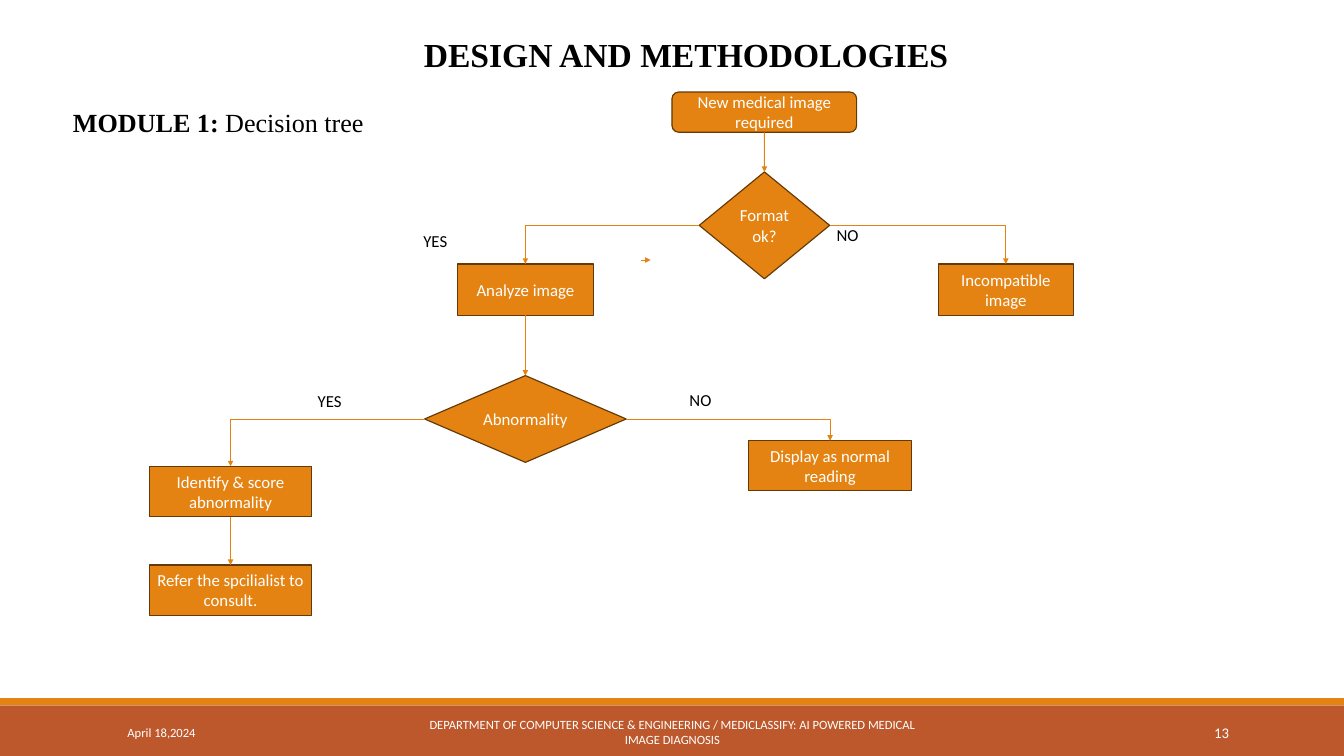
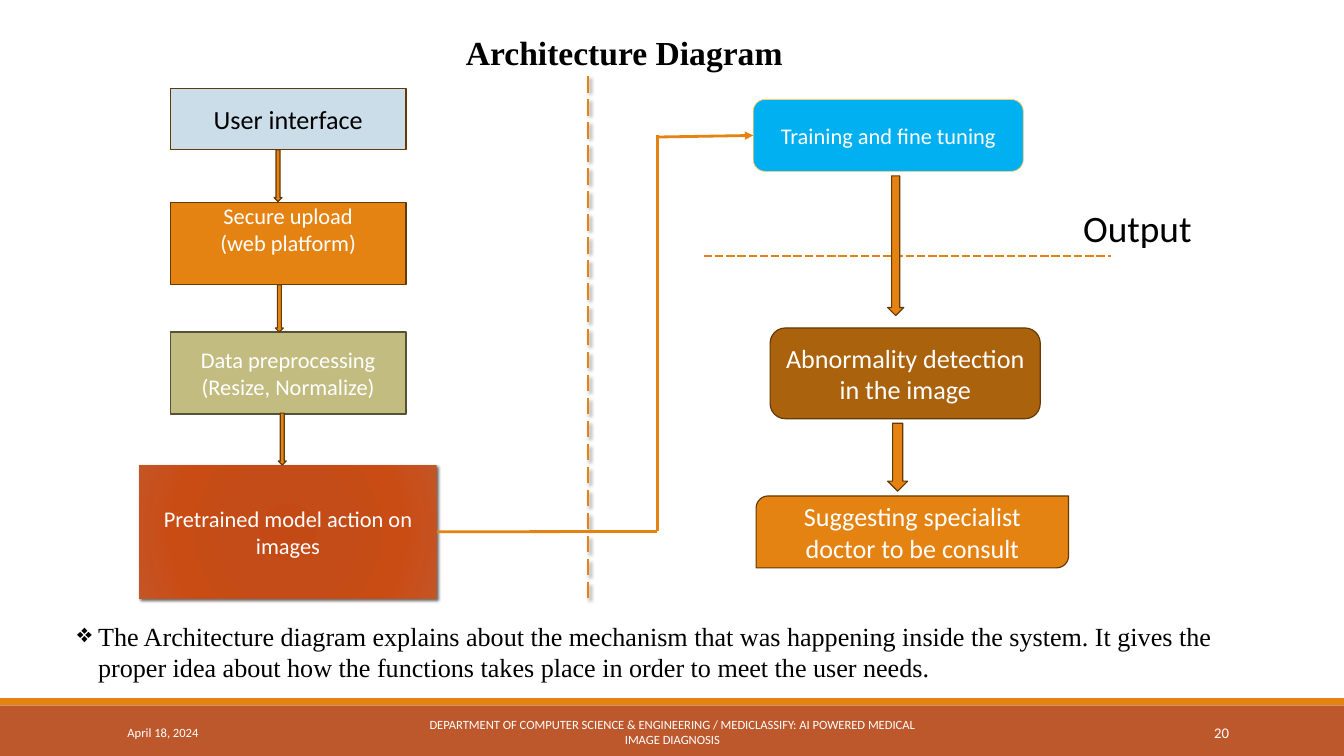
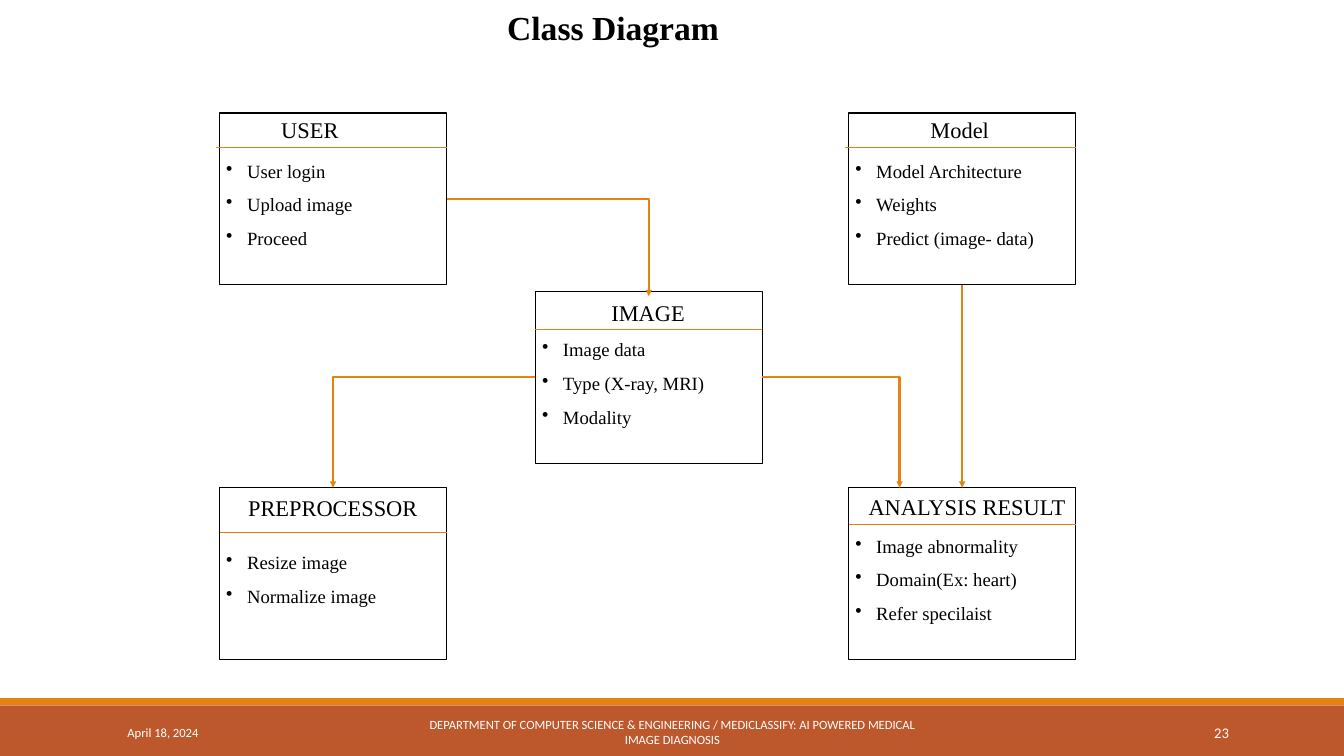
from collections import namedtuple

from lxml.etree import SubElement
from pptx import Presentation
from pptx.dml.color import RGBColor
from pptx.enum.dml import MSO_LINE
from pptx.enum.shapes import MSO_CONNECTOR, MSO_SHAPE
from pptx.enum.text import MSO_ANCHOR, MSO_AUTO_SIZE, PP_ALIGN
from pptx.oxml import parse_xml
from pptx.oxml.ns import nsdecls, qn
from pptx.util import Cm, Pt

RECTANGLE = MSO_SHAPE.RECTANGLE
ROUNDED = MSO_SHAPE.ROUNDED_RECTANGLE
TWO_ROUNDED = MSO_SHAPE.ROUND_2_DIAG_RECTANGLE
DIAMOND = MSO_SHAPE.DIAMOND
DOWN_ARROW = MSO_SHAPE.DOWN_ARROW
STRAIGHT, ELBOW = MSO_CONNECTOR.STRAIGHT, MSO_CONNECTOR.ELBOW
LONG_DASH, SQUARE_DASH = MSO_LINE.LONG_DASH, MSO_LINE.SQUARE_DOT
LEFT, CENTER, RIGHT = PP_ALIGN.LEFT, PP_ALIGN.CENTER, PP_ALIGN.RIGHT
JUSTIFY = PP_ALIGN.JUSTIFY
ANCHOR_TOP, ANCHOR_MIDDLE = MSO_ANCHOR.TOP, MSO_ANCHOR.MIDDLE
GROW = MSO_AUTO_SIZE.SHAPE_TO_FIT_TEXT
SITE_TOP, SITE_LEFT, SITE_BOTTOM, SITE_RIGHT = range(4)

SANS, SERIF = "Calibri", "Times New Roman"
ORANGE, RUST, BROWN = "E48312", "BD582C", "643908"
BLACK, WHITE = "000000", "FFFFFF"
BULLET_INDENT = Cm(0.79)
FOOTER_TEXT = ("DEPARTMENT OF COMPUTER SCIENCE & ENGINEERING / "
               "MEDICLASSIFY: AI POWERED MEDICAL IMAGE DIAGNOSIS")

Box = namedtuple("Box", "left top width height")
FOOTER_BOX = Box(0, 26.39, 50.8, 2.19)


def inside(box, left, top, width, height):
    """Return a box given relative to the corner of another one."""
    return Box(box.left + left, box.top + top, width, height)


def rgb(value):
    """Turn a hex string into a colour."""
    return RGBColor.from_string(value)


def write(shape, text, size, color=WHITE, font=SANS, bold=False, align=CENTER):
    """Set the text of a shape and format every run alike."""
    shape.text_frame.text = text
    for paragraph in shape.text_frame.paragraphs:
        paragraph.alignment = align
        for run in paragraph.runs:
            style_run(run, size, color, font, bold)


def style_run(run, size, color, font, bold):
    """Format one run."""
    run.font.size = Pt(size)
    run.font.name = font
    run.font.bold = bold
    run.font.color.rgb = rgb(color)


def add_bullet(paragraph, symbol):
    """Give a paragraph a hanging bullet."""
    properties = paragraph._p.get_or_add_pPr()
    properties.set("marL", str(BULLET_INDENT))
    properties.set("indent", str(-BULLET_INDENT))
    SubElement(properties, qn("a:buChar")).set("char", symbol)


def draw_shape(slide, kind, box, fill=ORANGE, line=BROWN, line_width=1.25):
    """Add a filled preset shape with centred text."""
    shape = slide.shapes.add_shape(kind, *map(Cm, box))
    shape.shadow.inherit = False
    shape.fill.solid()
    shape.fill.fore_color.rgb = rgb(fill)
    if line:
        shape.line.color.rgb = rgb(line)
        shape.line.width = Pt(line_width)
    else:
        shape.line.fill.background()
    shape.text_frame.word_wrap = True
    shape.text_frame.vertical_anchor = ANCHOR_MIDDLE
    return shape


def draw_text(slide, box, text, size, color=BLACK, font=SANS, bold=False,
              align=LEFT, wrap=True, grow=True):
    """Add a text box that grows, or one centred in a fixed height."""
    shape = slide.shapes.add_textbox(*map(Cm, box))
    shape.text_frame.word_wrap = wrap
    if grow:
        shape.text_frame.auto_size = GROW
    else:
        shape.text_frame.vertical_anchor = ANCHOR_MIDDLE
    write(shape, text, size, color, font, bold, align)
    return shape


def draw_line(slide, start, end, width=1, arrow=False, dash=None, kind=STRAIGHT):
    """Add a line or a one-bend connector between two points."""
    connector = slide.shapes.add_connector(kind, *map(Cm, (*start, *end)))
    connector.line.color.rgb = rgb(ORANGE)
    connector.line.width = Pt(width)
    if dash:
        connector.line.dash_style = dash
    properties = connector._element.spPr
    if kind == ELBOW:
        properties.find(qn("a:prstGeom")).set("prst", "bentConnector2")
    if arrow:
        outline = properties.find(qn("a:ln"))
        SubElement(outline, qn("a:tailEnd")).set("type", "triangle")
    SubElement(properties, qn("a:effectLst"))
    return connector


def join(slide, first, first_site, second, second_site, width=1, kind=STRAIGHT):
    """Draw an arrow from a side of one shape to a side of another."""
    connector = draw_line(slide, (0, 0), (0, 0), width, True, kind=kind)
    connector.begin_connect(first, first_site)
    connector.end_connect(second, second_site)


def add_shadow(shape, opacity, blur, distance):
    """Put a soft black shadow at the lower right of a shape."""
    effects = shape._element.spPr.find(qn("a:effectLst"))
    effects.append(parse_xml(
        f'<a:outerShdw {nsdecls("a")} blurRad="{Pt(blur)}" dist="{Pt(distance)}" '
        f'dir="2700000" algn="tl" rotWithShape="0"><a:srgbClr val="{BLACK}">'
        f'<a:alpha val="{opacity * 1000}"/></a:srgbClr></a:outerShdw>'))


def add_radial_fill(shape, stops):
    """Replace the solid fill of a shape by a radial gradient."""
    marks = "".join(f'<a:gs pos="{position * 1000}"><a:srgbClr val="{color}"/></a:gs>'
                    for position, color in stops)
    properties = shape._element.spPr
    properties.replace(properties.find(qn("a:solidFill")), parse_xml(
        f'<a:gradFill {nsdecls("a")} rotWithShape="1"><a:gsLst>{marks}</a:gsLst>'
        '<a:path path="circle"><a:fillToRect l="100000" t="100000" r="100000" '
        'b="100000"/></a:path></a:gradFill>'))


def draw_title(slide, box, text):
    """Add the slide title."""
    return draw_text(slide, box, text, 36, font=SERIF, bold=True)


def draw_footer(slide, box, date, number):
    """Add the two bands with date, project name and slide number."""
    draw_shape(slide, RECTANGLE, inside(box, 0, 0.28, box.width, 1.91), RUST, None)
    draw_shape(slide, RECTANGLE, inside(box, 0, 0, box.width, 0.26), ORANGE, None)
    for left, width, text, size, align in (
            (4.57, 10.31, date, 13.5, LEFT),
            (15.37, 20.09, FOOTER_TEXT, 13.5, CENTER),
            (41.25, 5.46, str(number), 15.8, RIGHT)):
        draw_text(slide, inside(box, left, 0.53, width, 1.52), text, size, WHITE,
                  align=align, grow=False)


def draw_module_heading(slide, box):
    """Add the module name, its number in bold."""
    heading = draw_text(slide, box, "MODULE 1: ", 28, font=SERIF, bold=True)
    run = heading.text_frame.paragraphs[0].add_run()
    run.text = "Decision tree"
    style_run(run, 28, BLACK, SERIF, False)


def draw_decision_tree(slide, box):
    """Draw the steps, the decisions and the arrows of the tree."""
    def step(kind, left, top, width, height, text):
        shape = draw_shape(slide, kind, inside(box, left, top, width, height))
        write(shape, text, 18)
        return shape

    request = step(ROUNDED, 19.76, 0, 6.98, 1.52, "New medical image required")
    format_check = step(DIAMOND, 20.79, 3.02, 4.93, 4.04, "Format ok?")
    analyze = step(RECTANGLE, 11.66, 6.5, 5.12, 1.94, "Analyze image")
    incompatible = step(RECTANGLE, 29.82, 6.5, 5.12, 1.94, "Incompatible image")
    abnormality = step(DIAMOND, 10.41, 10.72, 7.62, 3.28, "Abnormality")
    identify = step(RECTANGLE, 0, 14.15, 6.15, 1.9, "Identify & score abnormality")
    refer = step(RECTANGLE, 0, 17.88, 6.15, 1.9, "Refer the spcilialist to consult.")
    normal = step(RECTANGLE, 22.66, 13.18, 6.15, 1.9, "Display as normal reading")

    for first, second in ((request, format_check), (analyze, abnormality),
                          (identify, refer)):
        join(slide, first, SITE_BOTTOM, second, SITE_TOP)
    for decision, yes, no in ((format_check, analyze, incompatible),
                              (abnormality, identify, normal)):
        join(slide, decision, SITE_LEFT, yes, SITE_TOP, kind=ELBOW)
        join(slide, decision, SITE_RIGHT, no, SITE_TOP, kind=ELBOW)
    short = inside(box, 18.57, 6.35, 0.38, 0)
    draw_line(slide, short[:2], (short.left + short.width, short.top), arrow=True)

    for left, top, text in ((10.11, 5.1, "YES"), (25.73, 4.88, "NO"),
                            (6.12, 11.18, "YES"), (20.17, 11.13, "NO")):
        draw_text(slide, inside(box, left, top, 3.1, 1.02), text, 18)


def draw_pipeline(slide, box):
    """Draw the steps from the interface to the model and return the model."""
    for top, height, fill, line, color, size, text in (
            (0, 2.31, "CCDDEA", BROWN, BLACK, 28, "User interface"),
            (4.3, 3.1, ORANGE, BROWN, WHITE, 24, "Secure upload\n(web platform)"),
            (9.2, 3.1, "C2BC80", "555238", WHITE, 24,
             "Data preprocessing\n(Resize, Normalize)")):
        shape = draw_shape(slide, RECTANGLE, inside(box, 1.17, top, 8.92, height),
                           fill, line)
        write(shape, text, size, color)
        if fill == ORANGE:
            shape.text_frame.vertical_anchor = ANCHOR_TOP
            shape.text_frame.margin_top = 0
    model = draw_shape(slide, RECTANGLE, inside(box, 0, 14.23, box.width, 5.05),
                       line=None)
    add_radial_fill(model, ((0, "C44A15"), (34, "C34C18"),
                            (70, "C94C15"), (100, "C45525")))
    add_shadow(model, 60, 3.5, 2)
    write(model, "Pretrained model action on images", 24)
    for left, top, height in ((5.1, 2.31, 1.96), (5.15, 7.42, 1.78),
                              (5.26, 12.27, 1.96)):
        draw_shape(slide, DOWN_ARROW, inside(box, left, top, 0.3, height))
    return model


def draw_results(slide, box):
    """Draw the steps from training to advice and return the training step."""
    training = draw_shape(slide, ROUNDED, inside(box, 1.87, 0.41, 10.21, 2.72),
                          "00B0F0", "FFCC66", 0.75)
    write(training, "Training and fine tuning", 24)
    detection = draw_shape(slide, ROUNDED, inside(box, 2.51, 9.05, 10.21, 3.43),
                           "AB620D")
    write(detection, "Abnormality detection in the image", 28)
    advice = draw_shape(slide, TWO_ROUNDED, inside(box, 1.98, 15.4, 11.81, 2.72))
    write(advice, "Suggesting specialist doctor to be consult", 28)
    level = box.top + 6.33
    draw_line(slide, (box.left, level), (box.left + box.width, level), 3,
              dash=SQUARE_DASH)
    draw_text(slide, inside(box, 14.09, 4.27, 8.92, 1.96), "Output", 40)
    draw_shape(slide, DOWN_ARROW, inside(box, 6.95, 3.3, 0.61, 5.28))
    draw_shape(slide, DOWN_ARROW, inside(box, 6.95, 12.65, 0.76, 2.57))
    return training


def draw_bridge(slide, box, model, training):
    """Draw the divider and the path from the model to the training step."""
    divider = draw_line(slide, (box.left, box.top),
                        (box.left, box.top + box.height), 2.25, dash=LONG_DASH)
    add_shadow(divider, 40, 4, 3)
    turn = box.left + box.width
    low, high = box.top + 17.22, box.top + 2.24
    draw_line(slide, (turn, low), (turn, low), 3).begin_connect(model, SITE_RIGHT)
    draw_line(slide, (turn, low), (turn, high), 3)
    arrow = draw_line(slide, (turn, high + 0.07), (turn, high), 3, True)
    arrow.end_connect(training, SITE_LEFT)


def draw_note(slide, box, text):
    """Add the bulleted explanation."""
    note = draw_text(slide, box, text, 28, font=SERIF)
    add_bullet(note.text_frame.paragraphs[0], "❖")


def draw_class(slide, box, title, title_box, rule_left, rule_top, items):
    """Draw one class and return its frame and title."""
    frame = draw_shape(slide, RECTANGLE, box, WHITE, BLACK)
    write(frame, "\n".join(items), 20, BLACK, SERIF, align=JUSTIFY)
    for paragraph in frame.text_frame.paragraphs:
        add_bullet(paragraph, "•")
        paragraph.line_spacing = 1.5
    level = box.top + rule_top
    draw_line(slide, (box.left + rule_left, level), (box.left + box.width, level))
    heading = draw_text(slide, inside(box, *title_box, 1.27), title, 24, font=SERIF,
                        wrap=False)
    return frame, heading


def draw_class_diagram(slide, box):
    """Draw the five classes and their relations."""
    def card(left, top, *parts):
        return draw_class(slide, inside(box, left, top, 8.58, 6.5), *parts)

    right, bottom = 23.78, 14.17
    user, _ = card(0, 0, "USER", (2.08, 0, 2.69), -0.15, 1.32,
                   ("User login", "Upload image", "Proceed"))
    model, _ = card(right, 0, "Model", (2.84, 0, 2.74), -0.15, 1.32,
                    ("Model Architecture", "Weights", "Predict (image- data)"))
    image, image_title = card(11.94, 6.75, "IMAGE", (2.62, 0.18, 3.33), 0, 1.45,
                              ("Image data", "Type (X-ray, MRI)", "Modality"))
    preprocessor, _ = card(0, bottom, "PREPROCESSOR", (0.83, 0.13, 6.99), 0, 1.68,
                           ("Resize image", "Normalize image"))
    result, _ = card(right, bottom, "ANALYSIS RESULT", (0.5, 0.08, 8.03), 0, 1.4,
                     ("Image abnormality", "Domain(Ex: heart)", "Refer specilaist"))

    join(slide, user, SITE_RIGHT, image_title, SITE_TOP, 2.25, ELBOW)
    join(slide, image, SITE_LEFT, preprocessor, SITE_TOP, 2.25, ELBOW)
    end = (box.left + 25.7, box.top + bottom)
    draw_line(slide, end, end, 2.25, True, kind=ELBOW).begin_connect(image, SITE_RIGHT)
    join(slide, model, SITE_BOTTOM, result, SITE_TOP, 2.25)


def build_decision_slide(slide):
    """Build the slide with the decision tree."""
    draw_footer(slide, FOOTER_BOX, "April 18,2024", 13)
    title = draw_title(slide, Box(15.77, 0.38, 20.55, 2.29),
                       "DESIGN AND METHODOLOGIES")
    title.text_frame.paragraphs[0].line_spacing = 1.5
    draw_module_heading(slide, Box(2.51, 3.89, 12.37, 1.45))
    draw_decision_tree(slide, Box(5.64, 3.48, 34.94, 19.78))


def build_architecture_slide(slide):
    """Build the slide with the architecture."""
    draw_footer(slide, FOOTER_BOX, "April 18, 2024", 20)
    draw_title(slide, Box(17.36, 1.07, 30.44, 1.8), "Architecture Diagram")
    model = draw_pipeline(slide, Box(5.26, 3.35, 11.25, 19.28))
    training = draw_results(slide, Box(26.6, 3.35, 15.39, 18.12))
    draw_bridge(slide, Box(22.22, 2.87, 2.62, 19.76), model, training)
    draw_note(slide, Box(2.67, 23.32, 45.9, 2.64),
              "The Architecture diagram explains about the mechanism that was "
              "happening inside the system. It gives the proper idea about how the "
              "functions takes place in order to meet the user needs.")


def build_class_slide(slide):
    """Build the slide with the classes."""
    draw_footer(slide, FOOTER_BOX, "April 18, 2024", 23)
    draw_title(slide, Box(18.92, 0.13, 25.4, 1.8), "Class Diagram")
    draw_class_diagram(slide, Box(8.3, 4.27, 32.36, 20.67))


def main():
    """Build and save the presentation."""
    presentation = Presentation()
    presentation.slide_width, presentation.slide_height = Cm(50.8), Cm(28.58)
    blank = presentation.slide_layouts[6]
    for build in (build_decision_slide, build_architecture_slide, build_class_slide):
        build(presentation.slides.add_slide(blank))
    presentation.save("out.pptx")


if __name__ == "__main__":
    main()
